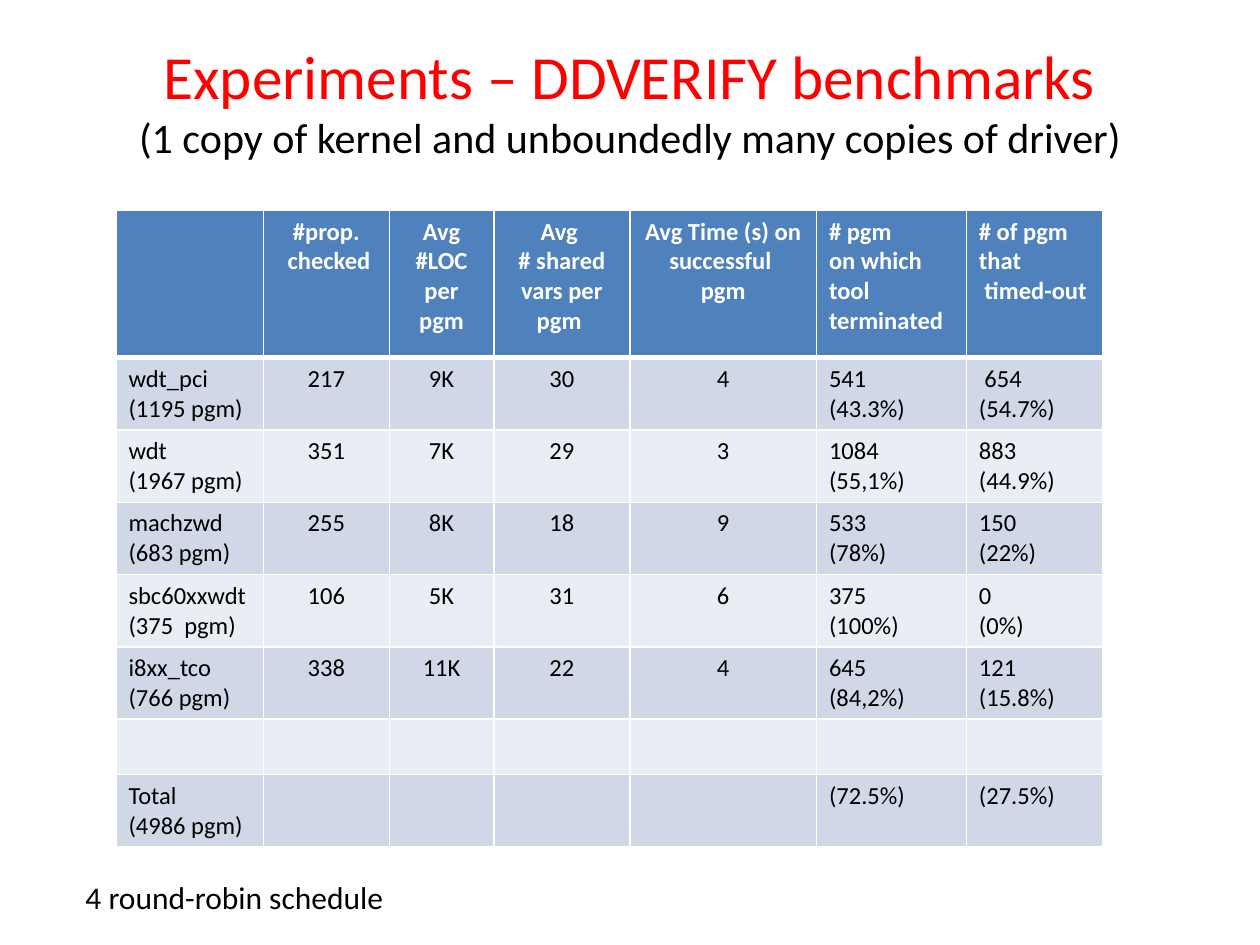
"""Build the DDVERIFY benchmark results slide."""
import pptx
import pptx.dml.color
import pptx.enum.text
import pptx.oxml
import pptx.oxml.ns
import pptx.util

Inches = pptx.util.Inches
Pt = pptx.util.Pt
ALIGN = pptx.enum.text.PP_ALIGN
ANCHOR = pptx.enum.text.MSO_ANCHOR

COLORS = {
    "title": "FF0000",
    "text": "000000",
    "header": "4F81BD",
    "odd": "D0D8E8",
    "even": "E9EDF4",
    "white": "FFFFFF",
}
FONT = "Calibri"
COLUMN_WIDTHS = [1.17, 1, 0.83, 1.08, 1.48, 1.19, 1.08]
ROW_HEIGHTS = [1.17, 0.42, 0.42, 0.5, 0.5, 0.5, 0.44, 0.44]
CENTERED_COLUMNS = range(1, 5)
ROWS = [
    ["", "#prop.\n checked", "Avg\n#LOC\nper pgm", "Avg \n# shared\nvars per pgm ",
     "Avg Time (s) on\nsuccessful \npgm", "# pgm\non which tool terminated",
     "# of pgm that\n timed-out"],
    ["wdt_pci\n(1195 pgm)", "217", "9K", "30", "4", "541\n(43.3%)", " 654\n(54.7%)"],
    ["wdt\n(1967 pgm)", "351", "7K", "29", "3", "1084\n(55,1%)", "883\n(44.9%)"],
    ["machzwd\n(683 pgm)", "255", "8K", "18", "9", "533\n(78%)", "150\n(22%)"],
    ["sbc60xxwdt\n(375  pgm)", "106", "5K", "31", "6", "375\n(100%)", "0\n(0%)"],
    ["i8xx_tco\n(766 pgm)", "338", "11K", "22", "4", "645\n(84,2%)", "121\n(15.8%)"],
    [""] * 7,
    ["Total\n(4986 pgm)", "", "", "", "", "(72.5%)", "(27.5%)"],
]


def rgb(name):
    """Return the named palette colour."""
    return pptx.dml.color.RGBColor.from_string(COLORS[name])


def apply_format(target, values):
    """Set each attribute in values on target."""
    for name, value in values.items():
        setattr(target, name, value)


def add_run(paragraph, text, size, color, bold=False):
    """Append a formatted run to a paragraph."""
    run = paragraph.add_run()
    run.text = text
    apply_format(run.font, {"name": FONT, "size": Pt(size), "bold": bold})
    run.font.color.rgb = rgb(color)


def add_text_box(slide, left, top, width, height, anchor):
    """Add a wrapping text box and return its first paragraph."""
    shape = slide.shapes.add_textbox(
        Inches(left), Inches(top), Inches(width), Inches(height))
    apply_format(shape.text_frame, {"word_wrap": True, "vertical_anchor": anchor})
    return shape.text_frame.paragraphs[0]


def add_title(slide):
    """Add the two-line centred title."""
    paragraph = add_text_box(slide, 0.5, 0.42, 9, 0.75, ANCHOR.MIDDLE)
    paragraph.alignment = ALIGN.CENTER
    add_run(paragraph, "Experiments – DDVERIFY benchmarks", 35, "title")
    paragraph.add_line_break()
    add_run(paragraph, "(1 copy of kernel and unboundedly many copies of driver)",
            24, "text")


def set_borders(cell, bottom):
    """Draw white cell borders, with the bottom width in points."""
    properties = cell._tc.get_or_add_tcPr()
    widths = {"lnL": 1, "lnR": 1, "lnT": 1, "lnB": bottom}
    for index, (tag, width) in enumerate(widths.items()):
        line = pptx.oxml.parse_xml(
            f'<a:{tag} {pptx.oxml.ns.nsdecls("a")} w="{Pt(width)}"><a:solidFill>'
            f'<a:srgbClr val="{COLORS["white"]}"/></a:solidFill></a:{tag}>')
        properties.insert(index, line)


def fill_cell(cell, text, row, column):
    """Write and style one table cell."""
    is_header = row == 0
    fill = "header" if is_header else "odd" if row % 2 else "even"
    cell.fill.solid()
    cell.fill.fore_color.rgb = rgb(fill)
    bottom = 3 if is_header else 1
    set_borders(cell, bottom)
    if not text:
        return
    for index, line in enumerate(text.split("\n")):
        frame = cell.text_frame
        paragraph = frame.add_paragraph() if index else frame.paragraphs[0]
        if column in CENTERED_COLUMNS:
            paragraph.alignment = ALIGN.CENTER
        add_run(paragraph, line, 14, "white" if is_header else "text", is_header)


def add_results_table(slide):
    """Add the benchmark results table."""
    frame = slide.shapes.add_table(
        len(ROWS), len(COLUMN_WIDTHS),
        Inches(0.92), Inches(1.67), Inches(7.83), Inches(5.02))
    table = frame.table
    for column, width in zip(table.columns, COLUMN_WIDTHS):
        column.width = Inches(width)
    for row, height in zip(table.rows, ROW_HEIGHTS):
        row.height = Inches(height)
    for row, texts in enumerate(ROWS):
        for column, text in enumerate(texts):
            fill_cell(table.cell(row, column), text, row, column)
    frame.height = Inches(5.02)


def main():
    """Build and save the presentation."""
    presentation = pptx.Presentation()
    apply_format(presentation, {"slide_width": Inches(10), "slide_height": Inches(7.5)})
    slide = presentation.slides.add_slide(presentation.slide_layouts[6])
    add_results_table(slide)
    note = add_text_box(slide, 0.58, 6.92, 8.08, 0.4, ANCHOR.TOP)
    add_run(note, "4 round-robin schedule", 18, "text")
    add_title(slide)
    presentation.save("out.pptx")


if __name__ == "__main__":
    main()
